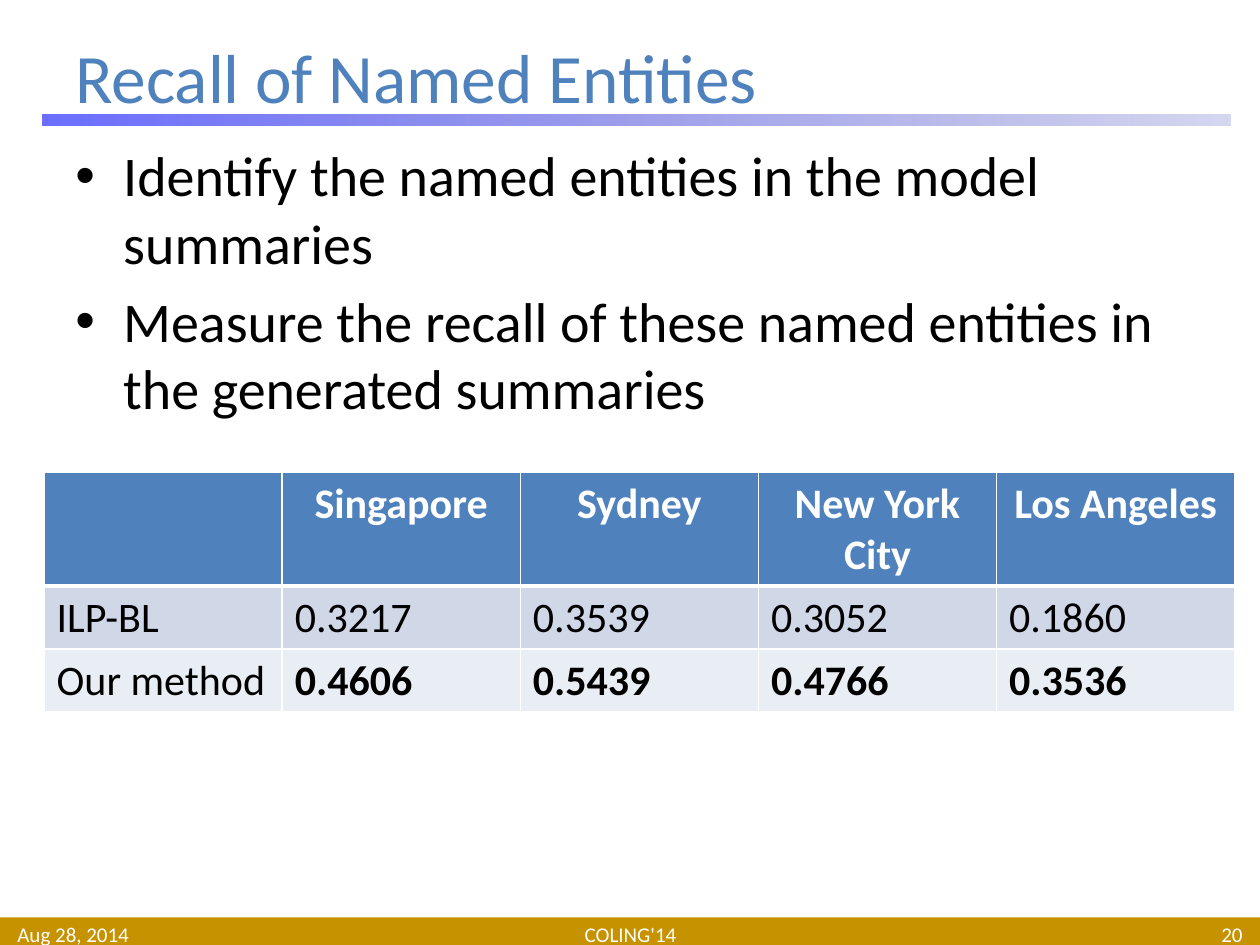
import pptx
import pptx.util
import pptx.dml.color
import pptx.enum.shapes
import pptx.enum.text
import pptx.oxml.ns
import lxml.etree

Inches, Pt = pptx.util.Inches, pptx.util.Pt
RGBColor = pptx.dml.color.RGBColor
Align = pptx.enum.text.PP_ALIGN
Anchor = pptx.enum.text.MSO_ANCHOR
RECTANGLE = pptx.enum.shapes.MSO_SHAPE.RECTANGLE
qn = pptx.oxml.ns.qn

WHITE = RGBColor(0xFF, 0xFF, 0xFF)
BLACK = RGBColor(0, 0, 0)
BLUE = RGBColor(0x4F, 0x81, 0xBD)
GOLD = RGBColor(0xC6, 0x92, 0x00)
RULE_START = RGBColor(0x46, 0x4A, 0xFC)
RULE_END = RGBColor(0x32, 0x35, 0xB4)
ROW_FILLS = [BLUE, RGBColor(0xD0, 0xD8, 0xE8), RGBColor(0xE9, 0xED, 0xF4)]


def write(paragraph, text, size, color, align=Align.LEFT, bold=False):
    """Add one styled run to a paragraph and align it."""
    paragraph.alignment = align
    run = paragraph.add_run()
    run.text = text
    run.font.name = "Calibri"
    run.font.size = Pt(size)
    run.font.bold = bold
    run.font.color.rgb = color


def add_frame(left, top, width, height, anchor, inset=0.05):
    """Add a wrapping text box and return its text frame."""
    frame = slide.shapes.add_textbox(
        Inches(left), Inches(top), Inches(width), Inches(height)).text_frame
    frame.word_wrap = True
    frame.vertical_anchor = anchor
    frame.margin_top = frame.margin_bottom = Inches(inset)
    return frame


deck = pptx.Presentation()
deck.slide_width, deck.slide_height = Inches(10), Inches(7.5)
slide = deck.slides.add_slide(deck.slide_layouts[6])

# Footer band and title rule
footer_band = slide.shapes.add_shape(
    RECTANGLE, Inches(0), Inches(7.28), Inches(10), Inches(0.25))
footer_band.fill.solid()
footer_band.fill.fore_color.rgb = GOLD
title_rule = slide.shapes.add_shape(
    RECTANGLE, Inches(0.34), Inches(0.91), Inches(9.43), Inches(0.09))
title_rule.fill.gradient()
title_rule.fill.gradient_angle = 0
for stop, color, opacity in zip(title_rule.fill.gradient_stops,
                                [RULE_START, RULE_END], [80, 20]):
    stop.color.rgb = color
for color_node, opacity in zip(title_rule._element.spPr.iter(qn("a:srgbClr")), [80, 20]):
    lxml.etree.SubElement(color_node, qn("a:alpha"), val=str(opacity * 1000))
for bar in (footer_band, title_rule):
    bar.line.fill.background()
    bar.shadow.inherit = False

# Title and bullets
title = add_frame(0.5, 0.3, 9, 0.61, Anchor.MIDDLE)
write(title.paragraphs[0], "Recall of Named Entities", 39.6, BLUE)

bullets = add_frame(0.5, 1.07, 9, 5.63, Anchor.TOP)
points = ["Identify the named entities in the model summaries",
          "Measure the recall of these named entities in the generated summaries"]
for index, point in enumerate(points):
    paragraph = bullets.add_paragraph() if index else bullets.paragraphs[0]
    write(paragraph, point, 32, BLACK)
    paragraph.space_before = Pt(6.4)
    properties = paragraph._p.get_or_add_pPr()
    properties.set("marL", str(Inches(0.38)))
    properties.set("indent", str(-Inches(0.38)))
    lxml.etree.SubElement(properties, qn("a:buFont"), typeface="Arial")
    lxml.etree.SubElement(properties, qn("a:buChar"), char="\u2022")

# Footer texts
for left, width, text, align in [(0.04, 2.33, "Aug 28, 2014", Align.LEFT),
                                 (3.42, 3.17, "COLING'14", Align.CENTER),
                                 (7.63, 2.33, "20", Align.RIGHT)]:
    footer = add_frame(left, 7.29, width, 0.24, Anchor.MIDDLE, inset=0)
    write(footer.paragraphs[0], text, 12, WHITE, align)

# Recall table
recall_rows = [["", "Singapore", "Sydney", "New York City", "Los Angeles"],
               ["ILP-BL", "0.3217", "0.3539", "0.3052", "0.1860"],
               ["Our method", "0.4606", "0.5439", "0.4766", "0.3536"]]
recall = slide.shapes.add_table(
    3, 5, Inches(0.35), Inches(3.75), Inches(9.45), Inches(1.9)).table
for column in recall.columns:
    column.width = Inches(1.89)
for row, height in zip(recall.rows, [0.9, 0.5, 0.5]):
    row.height = Inches(height)

for r, values in enumerate(recall_rows):
    header = r == 0
    for c, value in enumerate(values):
        cell = recall.cell(r, c)
        borders = {"a:lnL": 1, "a:lnR": 1, "a:lnT": 3 if r == 1 else 1,
                   "a:lnB": 3 if header else 1}
        for side, weight in borders.items():
            line = lxml.etree.SubElement(
                cell._tc.get_or_add_tcPr(), qn(side), w=str(Pt(weight)))
            solid = lxml.etree.SubElement(line, qn("a:solidFill"))
            lxml.etree.SubElement(solid, qn("a:srgbClr"), val=str(WHITE))
        cell.fill.solid()
        cell.fill.fore_color.rgb = ROW_FILLS[r]
        if value:
            write(cell.text_frame.paragraphs[0], value, 24,
                  WHITE if header else BLACK,
                  Align.CENTER if header else Align.LEFT,
                  bold=header or (r == 2 and c > 0))

deck.save("out.pptx")
